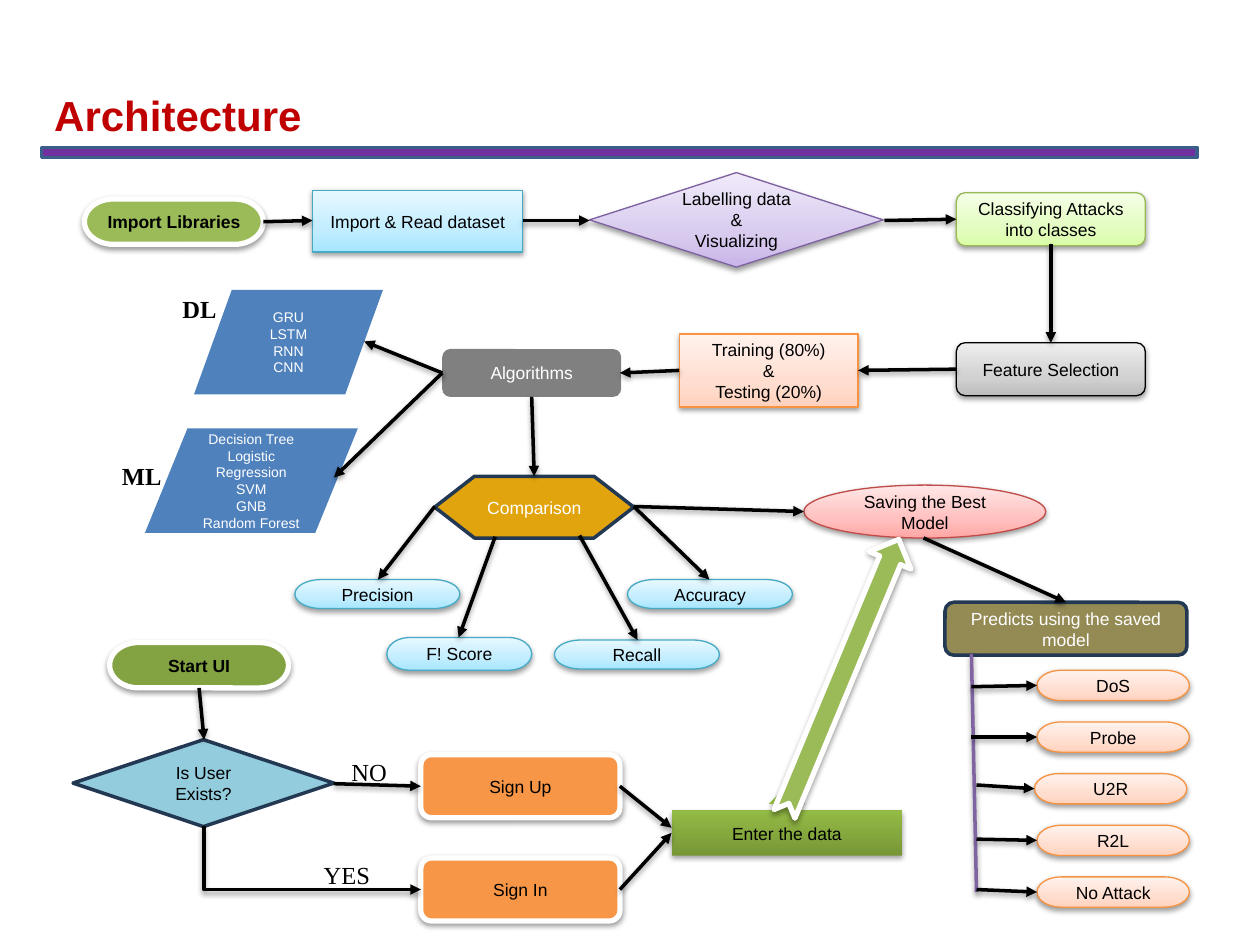
from dataclasses import dataclass
from typing import Optional

from lxml.etree import SubElement
from pptx import Presentation
from pptx.dml.color import RGBColor
from pptx.enum.shapes import MSO_CONNECTOR, MSO_SHAPE
from pptx.enum.text import MSO_ANCHOR, MSO_AUTO_SIZE, PP_ALIGN
from pptx.oxml.ns import qn
from pptx.util import Inches, Pt

COLORS = {
    "black": "000000", "white": "FFFFFF", "title": "C00000",
    "bar": "7030A0", "bar edge": "3A5F8B", "green": "9BBB59",
    "olive": "83A343", "gray": "808080", "blue": "4F81BD",
    "gold": "E1A40D", "navy": "233953", "aqua": "93CDDD",
    "orange": "F79646", "tan": "948A54", "spine": "8064A2",
    "sky edge": "46AAC5", "violet edge": "7D60A0", "lime edge": "98B955",
    "peach edge": "F69240", "rose edge": "BF4C48",
}
GRADIENTS = {
    "sky": ((0, "A7E6FF"), (35, "C1EDFF"), (100, "E7F8FF")),
    "violet": ((0, "C9B5E8"), (35, "D8CBEE"), (100, "F0EAF9")),
    "lime": ((0, "DAFDA7"), (35, "E4FCC2"), (100, "F5FFE7")),
    "silver": ((0, "BDBDBD"), (35, "D1D1D1"), (100, "EEEEEE")),
    "peach": ((0, "FFD2BD"), (35, "FFDED0"), (100, "FFF2ED")),
    "rose": ((0, "FFA6A5"), (35, "FFC0BF"), (100, "FFE7E7")),
    "leaf": ((0, "779737"), (80, "9BC348"), (100, "9DC746")),
}


@dataclass(frozen=True)
class Style:
    fill: str
    line: Optional[str] = None
    width: float = 0.75
    shadow: bool = True
    text: str = "black"
    size: int = 10
    bold: bool = False


@dataclass(frozen=True)
class Box:
    text: str
    kind: MSO_SHAPE
    place: tuple[float, float, float, float]
    style: Style


@dataclass(frozen=True)
class Label:
    text: str
    place: tuple[float, float, float, float]
    bold: bool


@dataclass(frozen=True)
class Outcome:
    text: str
    left: float
    start: tuple[float, float]


PILL = MSO_SHAPE.FLOWCHART_TERMINATOR
ROUNDED = MSO_SHAPE.FLOWCHART_ALTERNATE_PROCESS
SLANTED = MSO_SHAPE.FLOWCHART_DATA
BAR = Style("bar", "bar edge", 2, shadow=False)
START = Style("green", "white", 3, bold=True)
START_UI = Style("olive", "white", 3, bold=True)
SKY = Style("sky", "sky edge")
PEACH = Style("peach", "peach edge")
SIGN = Style("orange", "white", 3)
MODELS = Style("blue", shadow=False, text="white", size=8)

BOXES = [
    Box("", MSO_SHAPE.RECTANGLE, (0.33, 1.17, 9.17, 0.08), BAR),
    Box("Import Libraries", PILL, (0.67, 1.58, 1.42, 0.36), START),
    Box("Start UI", PILL, (0.87, 5.1, 1.42, 0.36), START_UI),
    Box("Import & Read dataset", MSO_SHAPE.RECTANGLE, (2.48, 1.51, 1.67, 0.49), SKY),
    Box("Labelling data\n&\nVisualizing", MSO_SHAPE.DIAMOND, (4.68, 1.37, 2.33, 0.75),
        Style("violet", "violet edge")),
    Box("Classifying Attacks into classes", ROUNDED, (7.59, 1.53, 1.5, 0.42),
        Style("lime", "lime edge")),
    Box("Feature Selection", MSO_SHAPE.ROUNDED_RECTANGLE, (7.59, 2.72, 1.5, 0.42),
        Style("silver", "black")),
    Box("Training (80%)\v&\vTesting (20%)", MSO_SHAPE.RECTANGLE,
        (5.39, 2.65, 1.42, 0.58), PEACH),
    Box("Algorithms", ROUNDED, (3.51, 2.77, 1.42, 0.38),
        Style("gray", shadow=False, text="white")),
    Box("Decision Tree\nLogistic Regression\nSVM\nGNB\nRandom Forest", SLANTED,
        (1.15, 3.4, 1.69, 0.83), MODELS),
    Box("GRU\nLSTM\nRNN\nCNN", SLANTED, (1.54, 2.3, 1.5, 0.83), MODELS),
    Box("Saving the Best Model", MSO_SHAPE.OVAL, (6.38, 3.85, 1.92, 0.42),
        Style("rose", "rose edge")),
    Box("Comparison", MSO_SHAPE.FLOWCHART_PREPARATION, (3.45, 3.78, 1.58, 0.49),
        Style("gold", "navy", 2, shadow=False, text="white")),
    Box("Is User Exists?", MSO_SHAPE.DIAMOND, (0.58, 5.87, 2.07, 0.69),
        Style("aqua", "navy", 2, shadow=False)),
    Box("Sign Up", ROUNDED, (3.34, 5.99, 1.58, 0.5), SIGN),
    Box("Sign In", ROUNDED, (3.34, 6.81, 1.58, 0.5), SIGN),
    Box("Predicts using the saved model", ROUNDED, (7.5, 4.78, 1.92, 0.42),
        Style("tan", "navy", 2, shadow=False, text="white")),
    Box("Enter the data", MSO_SHAPE.UP_ARROW_CALLOUT, (5.33, 6.24, 1.83, 0.55),
        Style("leaf")),
    Box("Recall", PILL, (4.4, 5.08, 1.31, 0.23), SKY),
    Box("F! Score", PILL, (3.07, 5.06, 1.15, 0.26), SKY),
    Box("Accuracy", PILL, (4.98, 4.6, 1.31, 0.23), SKY),
    Box("Precision", PILL, (2.34, 4.6, 1.31, 0.23), SKY),
]
ARROWS = [
    (2.09, 1.76, 2.48, 1.75), (4.15, 1.75, 4.68, 1.75), (7.02, 1.75, 7.59, 1.74),
    (8.34, 1.94, 8.34, 2.72), (7.59, 2.93, 6.81, 2.94), (5.39, 2.94, 4.92, 2.96),
    (3.51, 2.96, 2.89, 2.71), (3.51, 2.96, 2.65, 3.79), (4.22, 3.15, 4.24, 3.78),
    (3.45, 4.02, 3, 4.6), (3.93, 4.26, 3.64, 5.06), (4.6, 4.25, 5.06, 5.08),
    (5.03, 4.02, 5.63, 4.6), (5.03, 4.02, 6.38, 4.06), (7.33, 4.27, 8.46, 4.78),
    (1.58, 5.46, 1.62, 5.87), (2.65, 6.22, 3.34, 6.24),
    (4.92, 6.24, 5.33, 6.57), (4.92, 7.06, 5.33, 6.61),
]
OUTCOMES = [
    Outcome("DoS", 8.23, (7.71, 5.45)),
    Outcome("Probe", 8.23, (7.71, 5.85)),
    Outcome("U2R", 8.21, (7.75, 6.23)),
    Outcome("R2L", 8.23, (7.75, 6.66)),
    Outcome("No Attack", 8.23, (7.75, 7.06)),
]
OUTCOME_TOP, OUTCOME_STEP, OUTCOME_HEIGHT = 5.32, 0.41, 0.24
LABELS = [
    Label("YES", (2.47, 6.66, 1.08, 0.41), False),
    Label("NO", (2.69, 5.84, 0.5, 0.41), False),
    Label("ML", (0.87, 3.49, 0.64, 0.41), True),
    Label("DL", (1.35, 2.17, 0.54, 0.41), True),
]


def rgb(name: str) -> RGBColor:
    return RGBColor.from_string(COLORS[name])


def add_shadow(properties) -> None:
    effects = properties.find(qn("a:effectLst"))
    if effects is None:
        effects = SubElement(properties, qn("a:effectLst"))
    shadow = SubElement(effects, qn("a:outerShdw"), blurRad="40000", dist="20000",
                        dir="5400000", rotWithShape="0")
    color = SubElement(shadow, qn("a:srgbClr"), val=COLORS["black"])
    SubElement(color, qn("a:alpha"), val="38000")


def fill_gradient(shape, stops) -> None:
    shape.fill.gradient()
    shape.fill.gradient_angle = 90
    stop_list = next(shape.element.spPr.iter(qn("a:gsLst")))
    for stop in list(stop_list):
        stop_list.remove(stop)
    for position, color in stops:
        stop = SubElement(stop_list, qn("a:gs"), pos=str(position * 1000))
        SubElement(stop, qn("a:srgbClr"), val=color)


def format_text(text_frame, font_name: str, size: int, color: str, bold: bool,
                alignment: PP_ALIGN) -> None:
    text_frame.word_wrap = True
    for paragraph in text_frame.paragraphs:
        paragraph.alignment = alignment
        for run in paragraph.runs:
            run.font.name = font_name
            run.font.size = Pt(size)
            run.font.bold = bold
            run.font.color.rgb = rgb(color)


def add_box(slide, box: Box):
    style = box.style
    shape = slide.shapes.add_shape(box.kind, *map(Inches, box.place))
    if style.fill in GRADIENTS:
        fill_gradient(shape, GRADIENTS[style.fill])
    else:
        shape.fill.solid()
        shape.fill.fore_color.rgb = rgb(style.fill)
    if style.line:
        shape.line.color.rgb = rgb(style.line)
        shape.line.width = Pt(style.width)
    else:
        shape.line.fill.background()
    shape.shadow.inherit = False
    if style.shadow:
        add_shadow(shape.element.spPr)
    if box.text:
        shape.text_frame.text = box.text
        shape.text_frame.vertical_anchor = MSO_ANCHOR.MIDDLE
        format_text(shape.text_frame, "Arial", style.size, style.text, style.bold,
                    PP_ALIGN.CENTER)
    return shape


def add_line(slide, ends, color: str = "black", arrow: bool = True,
             kind: MSO_CONNECTOR = MSO_CONNECTOR.STRAIGHT):
    connector = slide.shapes.add_connector(kind, *map(Inches, ends))
    connector.line.color.rgb = rgb(color)
    connector.line.width = Pt(2)
    properties = connector.element.spPr
    if arrow:
        SubElement(properties.find(qn("a:ln")), qn("a:tailEnd"), type="triangle")
    add_shadow(properties)
    return connector


def add_yes_branch(slide) -> None:
    connector = add_line(slide, (2.73, 5.95, 2.23, 7.67), kind=MSO_CONNECTOR.ELBOW)
    properties = connector.element.spPr
    properties.find(qn("a:xfrm")).set("rot", "16200000")
    properties.find(qn("a:prstGeom")).set("prst", "bentConnector2")


def add_label(slide, label: Label) -> None:
    text_frame = slide.shapes.add_textbox(*map(Inches, label.place)).text_frame
    text_frame.text = label.text
    text_frame.paragraphs[0].line_spacing = 1.5
    format_text(text_frame, "Times New Roman", 14, "black", label.bold, PP_ALIGN.JUSTIFY)


def add_title(slide) -> None:
    title = slide.shapes.title
    title.left, title.top, title.width, title.height = map(Inches, (0.33, 0.66, 7, 0.5))
    title.text_frame.text = "Architecture"
    title.text_frame.vertical_anchor = MSO_ANCHOR.TOP
    title.text_frame.auto_size = MSO_AUTO_SIZE.NONE
    format_text(title.text_frame, "Arial", 24, "title", True, PP_ALIGN.LEFT)


def main() -> None:
    presentation = Presentation()
    presentation.slide_width, presentation.slide_height = Inches(10), Inches(7.5)
    slide = presentation.slides.add_slide(presentation.slide_layouts[5])
    add_title(slide)
    for box in BOXES:
        add_box(slide, box)
    for ends in ARROWS:
        add_line(slide, ends)
    add_yes_branch(slide)
    add_line(slide, (7.71, 5.19, 7.75, 7.08), "spine", arrow=False)
    for index, outcome in enumerate(OUTCOMES):
        top = OUTCOME_TOP + index * OUTCOME_STEP
        add_box(slide, Box(outcome.text, PILL, (outcome.left, top, 1.21, OUTCOME_HEIGHT), PEACH))
        add_line(slide, (*outcome.start, outcome.left, top + OUTCOME_HEIGHT / 2))
    data_arrow = add_box(slide, Box("", MSO_SHAPE.NOTCHED_RIGHT_ARROW,
                                    (5.5, 5.19, 2.36, 0.36), Style("green", "white", 3)))
    data_arrow.rotation = 292.6
    for label in LABELS:
        add_label(slide, label)
    presentation.save("out.pptx")


if __name__ == "__main__":
    main()
